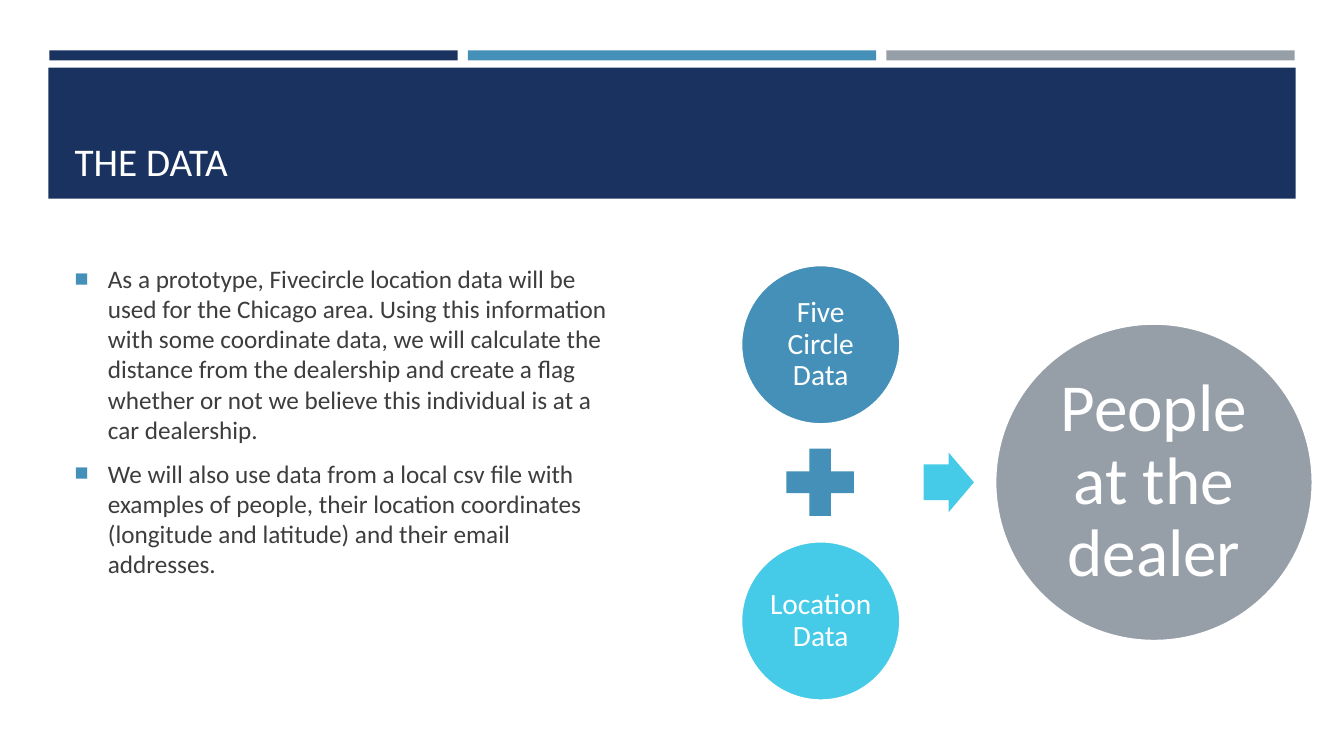
from dataclasses import dataclass

from lxml.etree import SubElement
from pptx import Presentation
from pptx.dml.color import RGBColor
from pptx.enum.shapes import MSO_SHAPE
from pptx.enum.text import MSO_ANCHOR, MSO_AUTO_SIZE, PP_ALIGN
from pptx.oxml.ns import qn
from pptx.util import Inches, Pt

NAVY, BLUE, CYAN, GRAY = "1A3260", "4590B8", "45CBE8", "969FA7"
WHITE, INK = "FFFFFF", "3D3D3D"
FONT = "Calibri"


@dataclass(frozen=True)
class Block:
    preset: MSO_SHAPE
    left: float
    top: float
    width: float
    height: float
    color: str


@dataclass(frozen=True)
class Circle:
    label: str
    left: float
    top: float
    diameter: float
    color: str
    size: int
    inset: float


BAR_WIDTH, BAR_STEP = 4.05, 4.15
BANDS = [
    Block(MSO_SHAPE.RECTANGLE, 0.49 + i * BAR_STEP, 0.5, BAR_WIDTH, 0.1, color)
    for i, color in enumerate([NAVY, BLUE, GRAY])
] + [Block(MSO_SHAPE.RECTANGLE, 0.48, 0.67, 12.37, 1.3, NAVY)]

OPERATORS = [
    Block(MSO_SHAPE.MATH_PLUS, 7.68, 4.33, 0.91, 0.91, BLUE),
    Block(MSO_SHAPE.RIGHT_ARROW, 9.16, 4.49, 0.5, 0.59, CYAN),
]

CIRCLES = [
    Circle("Five Circle Data", 7.35, 2.63, 1.58, BLUE, 21, 0.03),
    Circle("Location Data", 7.35, 5.37, 1.58, CYAN, 21, 0.03),
    Circle("People at the dealer", 9.87, 3.21, 3.15, GRAY, 48, 0.07),
]

BULLETS = [
    "As a prototype, Fivecircle location data will be used for the Chicago area. "
    "Using this information with some coordinate data, we will calculate the "
    "distance from the dealership and create a flag whether or not we believe "
    "this individual is at a car dealership.",
    "We will also use data from a local csv file with examples of people, their "
    "location coordinates (longitude and latitude) and their email addresses.",
]


def rgb(color: str) -> RGBColor:
    return RGBColor.from_string(color)


def style(paragraph, size: int, color: str, align: PP_ALIGN) -> None:
    paragraph.alignment = align
    paragraph.font.name = FONT
    paragraph.font.size = Pt(size)
    paragraph.font.color.rgb = rgb(color)


def place(shape, left: float, top: float, width: float, height: float) -> None:
    shape.left, shape.top = Inches(left), Inches(top)
    shape.width, shape.height = Inches(width), Inches(height)


def draw_block(slide, block: Block):
    shape = slide.shapes.add_shape(
        block.preset, Inches(block.left), Inches(block.top),
        Inches(block.width), Inches(block.height))
    shape.shadow.inherit = False
    shape.fill.solid()
    shape.fill.fore_color.rgb = rgb(block.color)
    shape.line.fill.background()
    return shape


def draw_circle(slide, circle: Circle) -> None:
    shape = draw_block(slide, Block(MSO_SHAPE.OVAL, circle.left, circle.top,
                                    circle.diameter, circle.diameter, circle.color))
    shape.line.color.rgb = rgb(WHITE)
    shape.line.width = Pt(1.75)
    frame = shape.text_frame
    frame.word_wrap = True
    frame.vertical_anchor = MSO_ANCHOR.MIDDLE
    frame.margin_left = frame.margin_right = Inches(circle.inset)
    frame.margin_top = frame.margin_bottom = Inches(circle.inset)
    frame.text = circle.label
    paragraph = frame.paragraphs[0]
    paragraph.line_spacing = 0.9
    style(paragraph, circle.size, WHITE, PP_ALIGN.CENTER)


def add_square_bullet(paragraph) -> None:
    properties = paragraph._p.get_or_add_pPr()
    properties.set("marL", str(Inches(0.33)))
    properties.set("indent", str(Inches(-0.33)))
    bullet_color = SubElement(properties, qn("a:buClr"))
    SubElement(bullet_color, qn("a:srgbClr")).set("val", BLUE)
    SubElement(properties, qn("a:buSzPct")).set("val", "92000")
    SubElement(properties, qn("a:buChar")).set("char", "■")


def fill_title(title) -> None:
    place(title, 0.64, 0.77, 12.06, 1.11)
    frame = title.text_frame
    frame.text = "THE DATA"
    frame.auto_size = MSO_AUTO_SIZE.NONE
    frame.vertical_anchor = MSO_ANCHOR.BOTTOM
    style(frame.paragraphs[0], 28, WHITE, PP_ALIGN.LEFT)


def fill_body(body) -> None:
    place(body, 0.64, 2.38, 5.64, 4.02)
    frame = body.text_frame
    frame.text = "\n".join(BULLETS)
    frame.auto_size = MSO_AUTO_SIZE.NONE
    frame.vertical_anchor = MSO_ANCHOR.MIDDLE
    frame.margin_bottom = Inches(0.48)
    for paragraph in frame.paragraphs:
        style(paragraph, 18, INK, PP_ALIGN.LEFT)
        paragraph.space_before = Pt(3.6)
        paragraph.space_after = Pt(6)
        add_square_bullet(paragraph)


def main() -> None:
    deck = Presentation()
    deck.slide_width, deck.slide_height = Inches(13.33), Inches(7.5)
    slide = deck.slides.add_slide(deck.slide_layouts[1])
    title, body = slide.placeholders
    for band in BANDS:
        shape = draw_block(slide, band)
        title._element.addprevious(shape._element)
    fill_title(title)
    fill_body(body)
    for circle in CIRCLES:
        draw_circle(slide, circle)
    plus, arrow = [draw_block(slide, operator) for operator in OPERATORS]
    arrow.adjustments[0] = 0.6
    deck.save("out.pptx")


if __name__ == "__main__":
    main()
